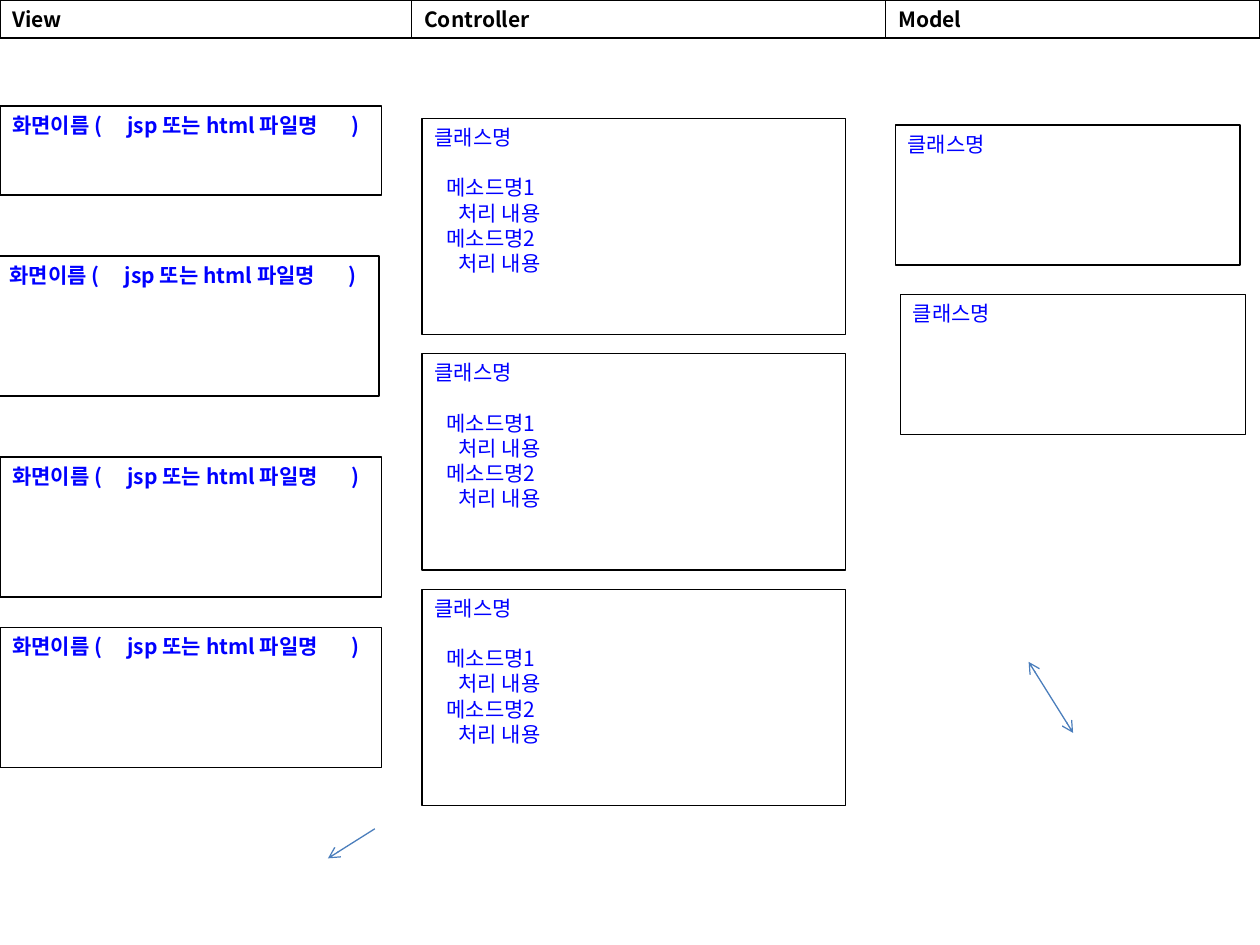
from lxml import etree
from pptx import Presentation
from pptx.dml.color import RGBColor
from pptx.enum import shapes, text
from pptx.oxml.ns import qn
from pptx.util import Pt

FONT = "Noto Sans CJK KR"


def add_text(tf, content, color="0000FF", bold=False, indent=0, before=0, tabs=()):
    p = tf.paragraphs[0]
    if p.runs:
        p = tf.add_paragraph()
    p.alignment = text.PP_ALIGN.LEFT
    p.line_spacing = Pt(14.4)
    p.space_before = Pt(before)
    pPr = p._p.get_or_add_pPr()
    pPr.set("marL", str(Pt(indent)))
    if tabs:
        tab_list = etree.SubElement(pPr, qn("a:tabLst"))
        for pos in tabs:
            etree.SubElement(tab_list, qn("a:tab"), pos=str(Pt(pos)), algn="l")
    r = p.add_run()
    r.text = content
    r.font.name = FONT
    r.font.size = Pt(12)
    r.font.bold = bold
    r.font.color.rgb = RGBColor.from_string(color)
    etree.SubElement(r._r.get_or_add_rPr(), qn("a:ea"), typeface=FONT)


def add_box(left, top, width, height):
    sp = slide.shapes.add_shape(shapes.MSO_SHAPE.RECTANGLE, Pt(left), Pt(top), Pt(width), Pt(height))
    sp.shadow.inherit = False
    sp.fill.background()
    sp.line.color.rgb = RGBColor.from_string("000000")
    sp.line.width = Pt(0.75)
    tf = sp.text_frame
    tf.word_wrap = True
    tf.vertical_anchor = text.MSO_ANCHOR.TOP
    return tf


prs = Presentation()
prs.slide_width, prs.slide_height = Pt(720), Pt(540)
slide = prs.slides.add_slide(prs.slide_layouts[6])

left = 0
for title, width in [("View", 235.3), ("Controller", 270.9), ("Model", 213.8)]:
    add_text(add_box(left, 0, width, 21.8), title, color="000000", bold=True)
    left += width

for left, top, height in [(0, 60.5, 51), (-1.6, 146.3, 80), (0, 261.2, 80), (0, 358.6, 80)]:
    tf = add_box(left, top, 218.2, height)
    add_text(tf, "화면이름 (\tjsp 또는 html 파일명\t)", bold=True, tabs=(65.8, 193.6))

for i in range(3):
    tf = add_box(241.2, 67.7 + 134.5 * i, 242, 123.6)
    add_text(tf, "클래스명")
    for n in (1, 2):
        add_text(tf, f"메소드명{n}", indent=6.9, before=14.4 if n == 1 else 0)
        add_text(tf, "처리 내용", indent=13.8)

for left, top in [(511.6, 71.5), (514.6, 168.2)]:
    add_text(add_box(left, top, 197, 80), "클래스명")

for ends, heads in [
    ((214.2, 473.6, 187.4, 490.5), ["tailEnd"]),
    ((587.8, 378.2, 613.2, 418.8), ["headEnd", "tailEnd"]),
]:
    arrow = slide.shapes.add_connector(shapes.MSO_CONNECTOR.STRAIGHT, *[Pt(v) for v in ends])
    arrow.line.color.rgb = RGBColor.from_string("4B7EBC")
    arrow.line.width = Pt(0.75)
    ln = arrow.line._get_or_add_ln()
    for head in heads:
        etree.SubElement(ln, qn(f"a:{head}"), type="arrow")
    etree.SubElement(arrow._element.spPr, qn("a:effectLst"))

prs.save("out.pptx")
